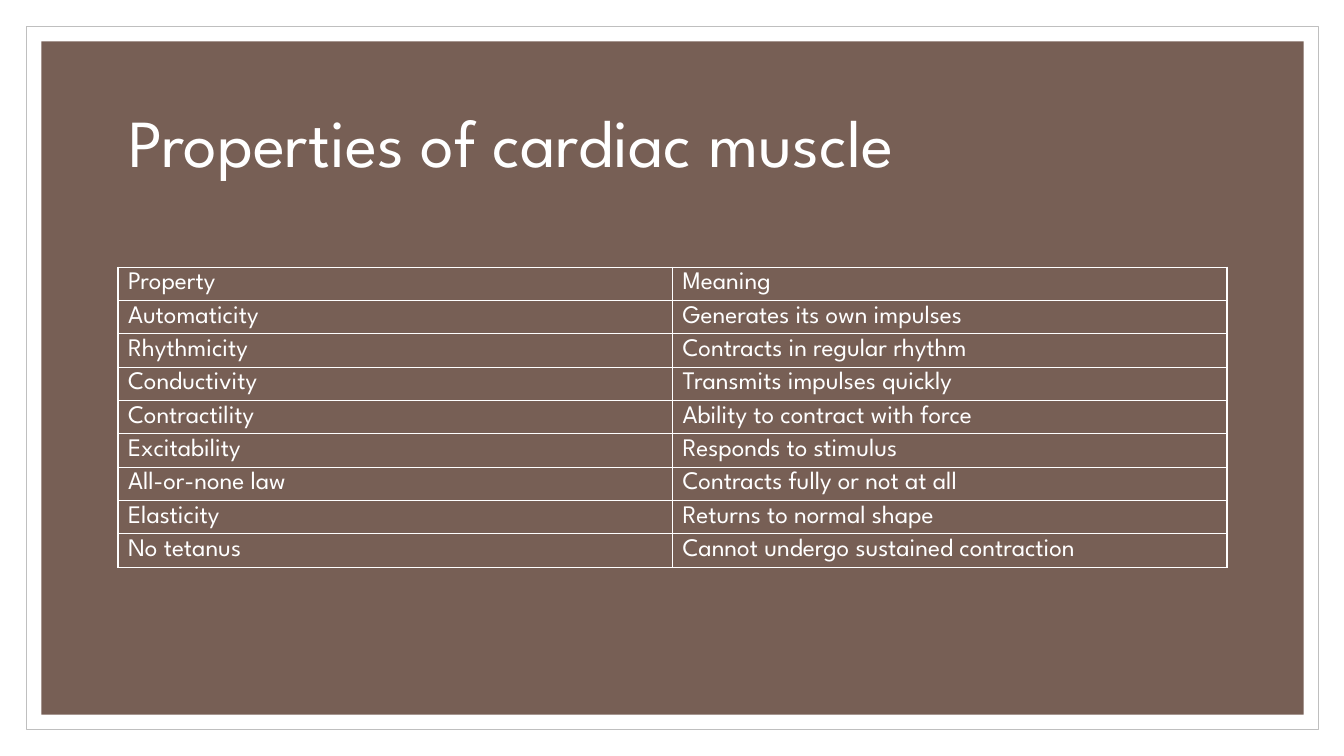
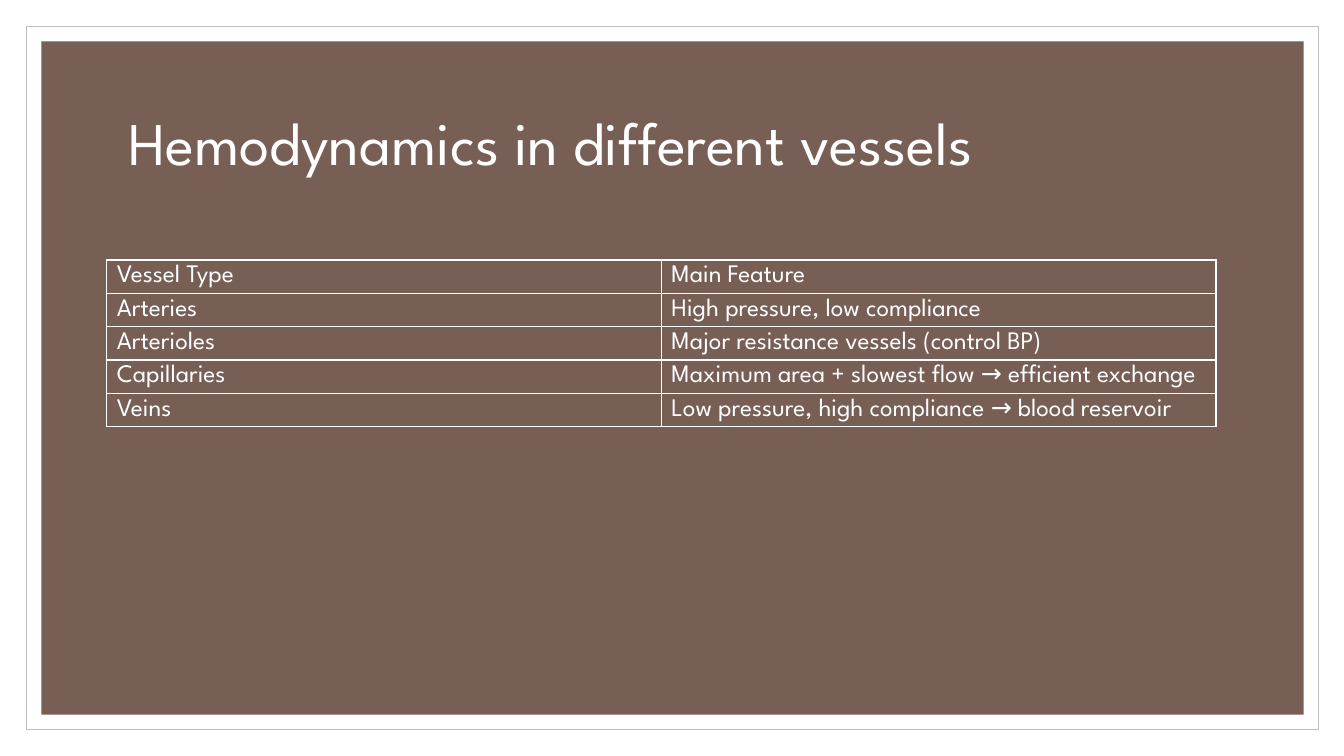
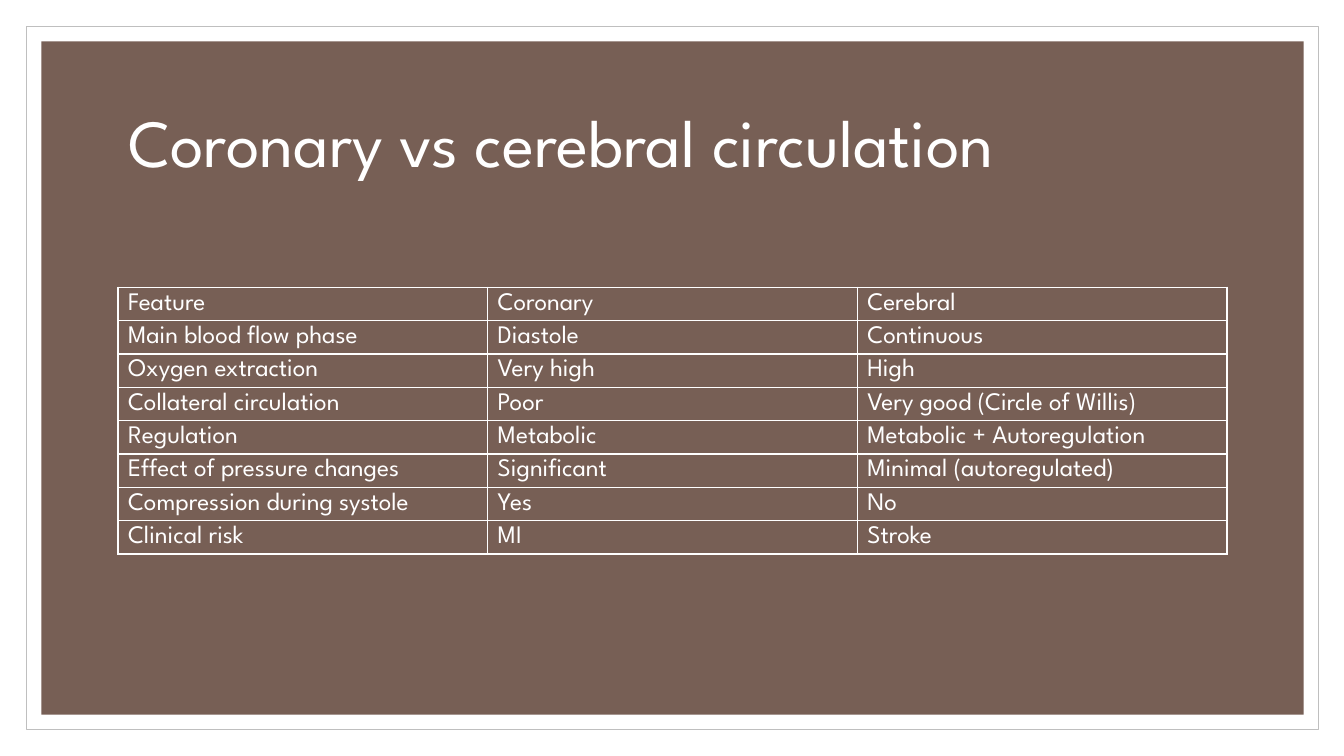
"""Build three table slides on cardiovascular physiology."""
from dataclasses import dataclass
from typing import Any

from lxml import etree
from pptx import Presentation
from pptx import util as u
from pptx.dml import color
from pptx.enum import shapes, text
from pptx.oxml import ns

SCALE = 9144
FONT = "League Spartan"
WHITE, GREY, BROWN = "FFFFFF", "BFBFBF", "775F55"
TABLE_W, ROW_H = 1100, 33


@dataclass(frozen=True)
class Box:
    left: int
    top: int
    width: int
    height: int

    def emu(self) -> tuple[u.Emu, ...]:
        return tuple(px(n) for n in (self.left, self.top, self.width, self.height))


@dataclass(frozen=True)
class Panel:
    box: Box
    fill: str
    line: str | None = None


@dataclass(frozen=True)
class TableSlide:
    title: str
    left: int
    top: int
    rows: list[tuple[str, ...]]
    title_size: float = 48


TITLE_BOX = Box(117, 70, 1100, 150)
PANELS = [
    Panel(Box(26, 26, 1282, 698), WHITE, GREY),
    Panel(Box(41, 41, 1252, 668), BROWN),
]
SLIDES = [
    TableSlide("Properties of cardiac muscle", 117, 265, [
        ("Property", "Meaning"),
        ("Automaticity", "Generates its own impulses"),
        ("Rhythmicity", "Contracts in regular rhythm"),
        ("Conductivity", "Transmits impulses quickly"),
        ("Contractility", "Ability to contract with force"),
        ("Excitability", "Responds to stimulus"),
        ("All-or-none law", "Contracts fully or not at all"),
        ("Elasticity", "Returns to normal shape"),
        ("No tetanus", "Cannot undergo sustained contraction"),
    ]),
    TableSlide("Hemodynamics in different vessels", 106, 258, [
        ("Vessel Type", "Main Feature"),
        ("Arteries", "High pressure, low compliance"),
        ("Arterioles", "Major resistance vessels (control BP)"),
        ("Capillaries", "Maximum area + slowest flow → efficient exchange"),
        ("Veins", "Low pressure, high compliance → blood reservoir"),
    ], 43.2),
    TableSlide("Coronary vs cerebral circulation", 117, 285, [
        ("Feature", "Coronary", "Cerebral"),
        ("Main blood flow phase", "Diastole", "Continuous"),
        ("Oxygen extraction", "Very high", "High"),
        ("Collateral circulation", "Poor", "Very good (Circle of Willis)"),
        ("Regulation", "Metabolic", "Metabolic + Autoregulation"),
        ("Effect of pressure changes", "Significant", "Minimal (autoregulated)"),
        ("Compression during systole", "Yes", "No"),
        ("Clinical risk", "MI", "Stroke"),
    ]),
]


def px(n: float) -> u.Emu:
    return u.Emu(round(n * SCALE))


def rgb(value: str) -> color.RGBColor:
    return color.RGBColor.from_string(value)


def assign(target: Any, values: dict[str, Any]) -> None:
    for name, value in values.items():
        setattr(target, name, value)


def write(tf: Any, words: str, size: float) -> Any:
    p = tf.paragraphs[0]
    r = p.add_run()
    r.text = words
    assign(r.font, {"name": FONT, "size": u.Pt(size), "bold": False})
    r.font.color.rgb = rgb(WHITE)
    return p


def add_panels(slide: Any, layout: Any) -> None:
    for i, panel in enumerate(PANELS):
        sp = slide.shapes.add_shape(shapes.MSO_SHAPE.RECTANGLE, *panel.box.emu())
        sp.shadow.inherit = False
        sp.fill.solid()
        sp.fill.fore_color.rgb = rgb(panel.fill)
        if panel.line:
            sp.line.color.rgb = rgb(panel.line)
            sp.line.width = u.Pt(0.5)
        else:
            sp.line.fill.background()
        layout.shapes.element.insert(2 + i, sp.element)


def add_title(slide: Any, item: TableSlide) -> None:
    sp = slide.shapes.title
    assign(sp, dict(zip(("left", "top", "width", "height"), TITLE_BOX.emu())))
    assign(sp.text_frame, {
        "word_wrap": True,
        "auto_size": text.MSO_AUTO_SIZE.NONE,
        "vertical_anchor": text.MSO_ANCHOR.MIDDLE,
    })
    p = write(sp.text_frame, item.title, item.title_size)
    assign(p, {"alignment": text.PP_ALIGN.LEFT, "line_spacing": 0.9})


def add_borders(cell: Any) -> None:
    tc_pr = cell._tc.get_or_add_tcPr()
    for i, side in enumerate(("lnL", "lnR", "lnT", "lnB")):
        ln = etree.Element(ns.qn(f"a:{side}"), w=str(u.Pt(1)))
        fill = etree.SubElement(ln, ns.qn("a:solidFill"))
        etree.SubElement(fill, ns.qn("a:srgbClr"), val=WHITE)
        tc_pr.insert(i, ln)


def add_grid(slide: Any, item: TableSlide) -> None:
    n_rows, n_cols = len(item.rows), len(item.rows[0])
    box = Box(item.left, item.top, TABLE_W, ROW_H * n_rows)
    table = slide.shapes.add_table(n_rows, n_cols, *box.emu()).table
    assign(table, {"first_row": False, "horz_banding": False})
    for col in table.columns:
        col.width = px(TABLE_W / n_cols)
    for row, values in zip(table.rows, item.rows):
        row.height = px(ROW_H)
        for cell, words in zip(row.cells, values):
            cell.vertical_anchor = text.MSO_ANCHOR.MIDDLE
            cell.fill.background()
            add_borders(cell)
            write(cell.text_frame, words, 18)


def main() -> None:
    prs = Presentation()
    assign(prs, {"slide_width": px(1333), "slide_height": px(750)})
    layout = prs.slide_layouts.get_by_name("Title Only")
    for i, item in enumerate(SLIDES):
        slide = prs.slides.add_slide(layout)
        if i == 0:
            add_panels(slide, layout)
        add_title(slide, item)
        add_grid(slide, item)
    prs.save("out.pptx")


if __name__ == "__main__":
    main()
